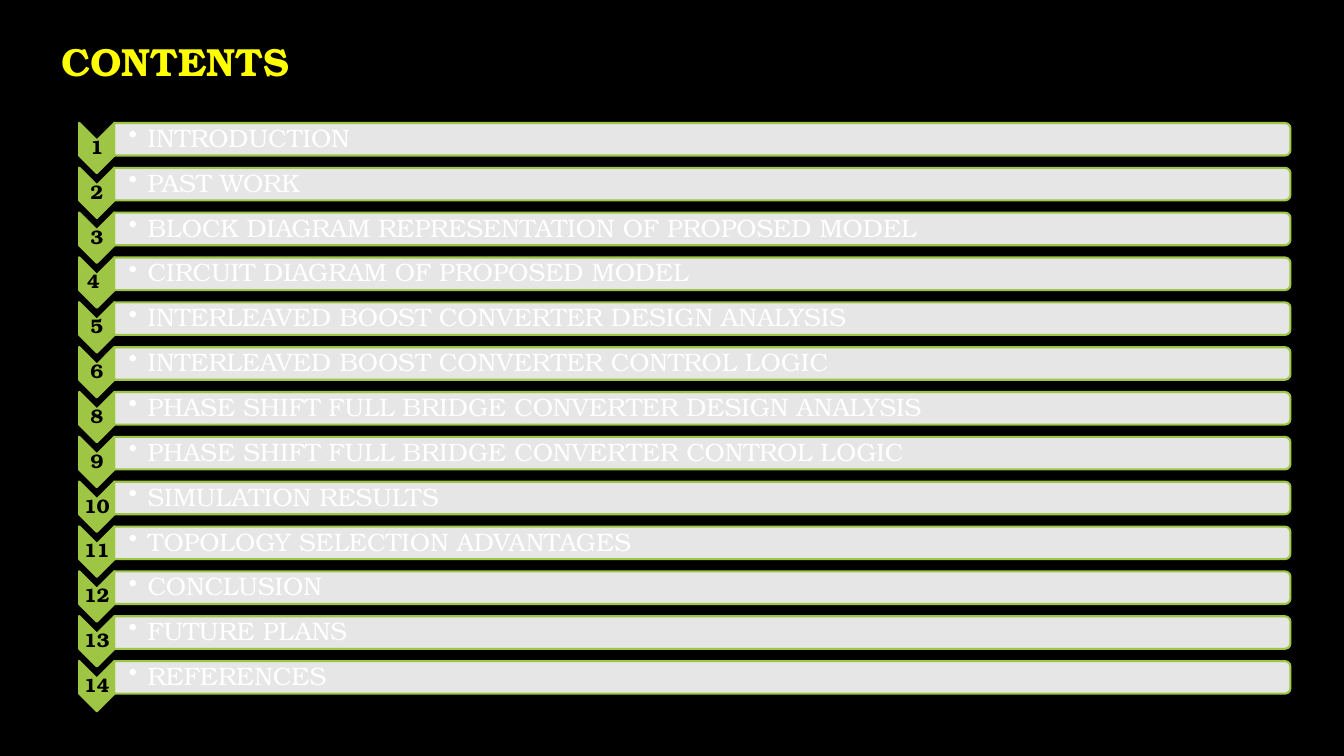
"""Build the contents slide: a numbered chevron list on black."""
from dataclasses import dataclass

import lxml.etree
import pptx
import pptx.dml.color
import pptx.enum.shapes
import pptx.enum.text
import pptx.oxml.ns
import pptx.shapes.autoshape
import pptx.shapes.shapetree
import pptx.text.text
import pptx.util

Cm = pptx.util.Cm
Pt = pptx.util.Pt
qn = pptx.oxml.ns.qn
MSO_SHAPE = pptx.enum.shapes.MSO_SHAPE
PP_ALIGN = pptx.enum.text.PP_ALIGN
MSO_ANCHOR = pptx.enum.text.MSO_ANCHOR
MSO_AUTO_SIZE = pptx.enum.text.MSO_AUTO_SIZE

COLORS = {"black": "000000", "white": "FFFFFF", "green": "9EC544", "yellow": "FFFF00"}
FONT = "TeX Gyre Bonum"
ROW_PITCH = 1.13
FIRST_BAR_Y = 3.51
FIRST_CHEVRON_Y = 3.73


@dataclass
class Entry:
    number: str
    topic: str


@dataclass
class Box:
    cx: float
    cy: float
    width: float
    height: float

    def lengths(self) -> tuple[int, int, int, int]:
        """Return left, top, width and height."""
        return (Cm(self.cx - self.width / 2), Cm(self.cy - self.height / 2),
                Cm(self.width), Cm(self.height))


ENTRIES = [
    Entry("1", "INTRODUCTION"),
    Entry("2", "PAST WORK"),
    Entry("3", "BLOCK DIAGRAM REPRESENTATION OF PROPOSED MODEL"),
    Entry("4 ", "CIRCUIT DIAGRAM OF PROPOSED MODEL"),
    Entry("5", "INTERLEAVED BOOST CONVERTER DESIGN ANALYSIS"),
    Entry("6", "INTERLEAVED BOOST CONVERTER CONTROL LOGIC"),
    Entry("8", "PHASE SHIFT FULL BRIDGE CONVERTER DESIGN ANALYSIS"),
    Entry("9", "PHASE SHIFT FULL BRIDGE CONVERTER CONTROL LOGIC"),
    Entry("10", "SIMULATION RESULTS"),
    Entry("11", "TOPOLOGY SELECTION ADVANTAGES"),
    Entry("12", "CONCLUSION"),
    Entry("13", "FUTURE PLANS"),
    Entry("14", "REFERENCES"),
]


def rgb(name: str) -> pptx.dml.color.RGBColor:
    """Return a named colour."""
    return pptx.dml.color.RGBColor.from_string(COLORS[name])


def add_run(p: pptx.text.text._Paragraph, text: str, size: float, color: str,
            bold: bool = False) -> None:
    """Add one formatted run."""
    r = p.add_run()
    r.text = text
    r.font.name = FONT
    r.font.size = Pt(size)
    r.font.bold = bold
    r.font.color.rgb = rgb(color)


def add_turned_shape(shapes: pptx.shapes.shapetree.GroupShapes, kind: MSO_SHAPE,
                     box: Box, fill: str) -> pptx.shapes.autoshape.Shape:
    """Add a green-edged shape turned by a quarter."""
    sp = shapes.add_shape(kind, *box.lengths())
    sp.rotation = 90
    sp.shadow.inherit = False
    sp.fill.solid()
    sp.fill.fore_color.rgb = rgb(fill)
    sp.line.color.rgb = rgb("green")
    sp.line.width = Pt(1.5)
    return sp


def add_label(shapes: pptx.shapes.shapetree.GroupShapes, box: Box,
              left_inset: float) -> pptx.text.text._Paragraph:
    """Add a text box and return its paragraph."""
    tf = shapes.add_textbox(*box.lengths()).text_frame
    tf.word_wrap = True
    tf.vertical_anchor = MSO_ANCHOR.MIDDLE
    tf.margin_left = Cm(left_inset)
    tf.margin_top = tf.margin_right = tf.margin_bottom = Cm(0.03)
    p = tf.paragraphs[0]
    p.line_spacing = 0.9
    return p


def add_bullet(p: pptx.text.text._Paragraph) -> None:
    """Give the paragraph a hanging round bullet."""
    p.level = 1
    pPr = p._p.get_or_add_pPr()
    pPr.set("marL", str(Cm(0.48)))
    pPr.set("indent", str(-Cm(0.48)))
    lxml.etree.SubElement(pPr, qn("a:buChar")).set("char", "•")


def add_entry(shapes: pptx.shapes.shapetree.GroupShapes, row: int, entry: Entry) -> None:
    """Draw one numbered row."""
    bar_y = FIRST_BAR_Y + row * ROW_PITCH
    chevron_y = FIRST_CHEVRON_Y + row * ROW_PITCH

    add_turned_shape(shapes, MSO_SHAPE.CHEVRON, Box(2.44, chevron_y, 1.27, 0.89), "green")
    p = add_label(shapes, Box(2.44, chevron_y, 0.89, 0.38), 0.03)
    p.alignment = PP_ALIGN.CENTER
    add_run(p, entry.number, 14, "black", bold=True)

    bar = add_turned_shape(shapes, MSO_SHAPE.ROUND_2_SAME_RECTANGLE,
                           Box(17.7, bar_y, 0.82, 29.64), "white")
    white = bar._element.spPr.find(qn("a:solidFill"))[0]
    lxml.etree.SubElement(white, qn("a:alpha")).set("val", "90000")
    p = add_label(shapes, Box(17.68, bar_y, 29.6, 0.74), 0.36)
    add_bullet(p)
    add_run(p, entry.topic, 18, "white")


def main() -> None:
    """Build and save the slide."""
    prs = pptx.Presentation()
    prs.slide_width, prs.slide_height = Cm(33.87), Cm(19.05)
    s = prs.slides.add_slide(prs.slide_layouts.get_by_name("Title Only"))
    s.background.fill.solid()
    s.background.fill.fore_color.rgb = rgb("black")

    title = s.shapes.title
    title.left, title.top, title.width, title.height = Cm(1.3), Cm(0.81), Cm(10.39), Cm(1.45)
    tf = title.text_frame
    tf.vertical_anchor = MSO_ANCHOR.TOP
    tf.auto_size = MSO_AUTO_SIZE.SHAPE_TO_FIT_TEXT
    p = tf.paragraphs[0]
    p.alignment = PP_ALIGN.LEFT
    add_run(p, "CONTENTS", 28, "yellow", bold=True)

    contents = s.shapes.add_group_shape()
    for row, entry in enumerate(ENTRIES):
        add_entry(contents.shapes, row, entry)
    prs.save("out.pptx")


if __name__ == "__main__":
    main()
